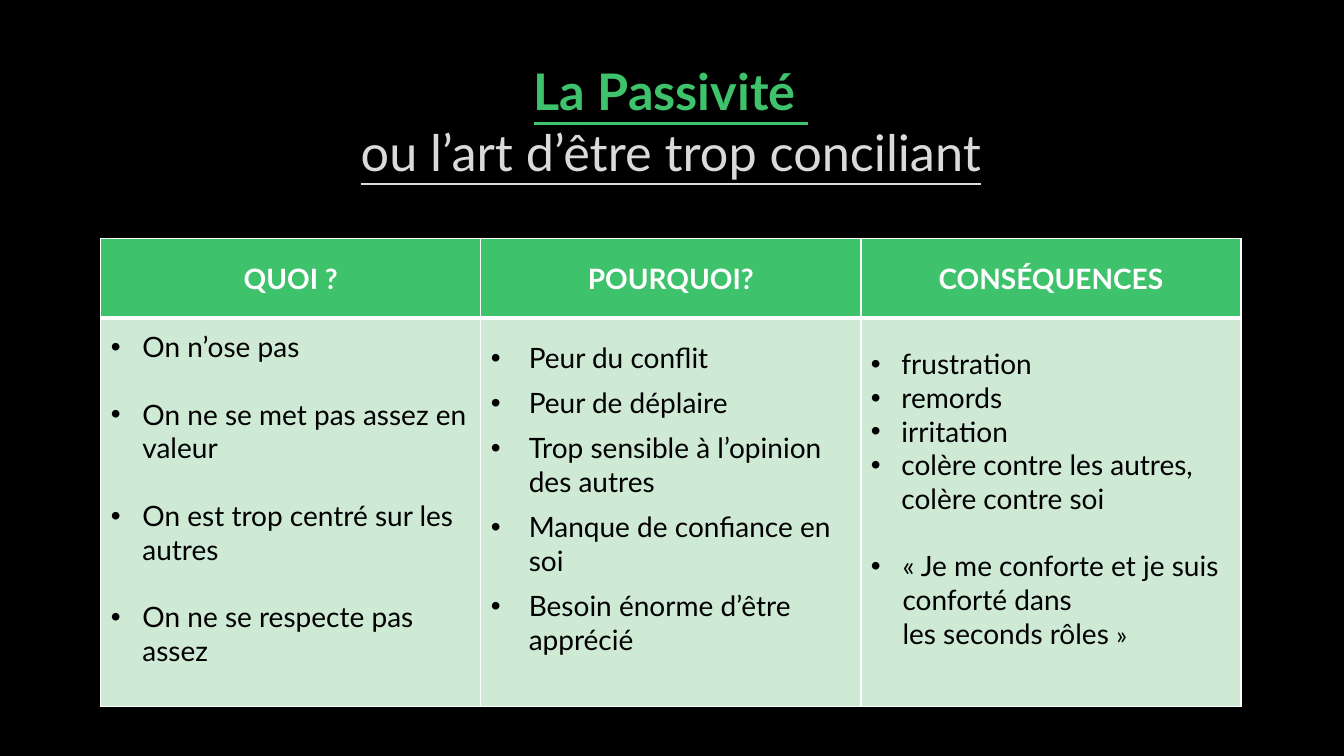
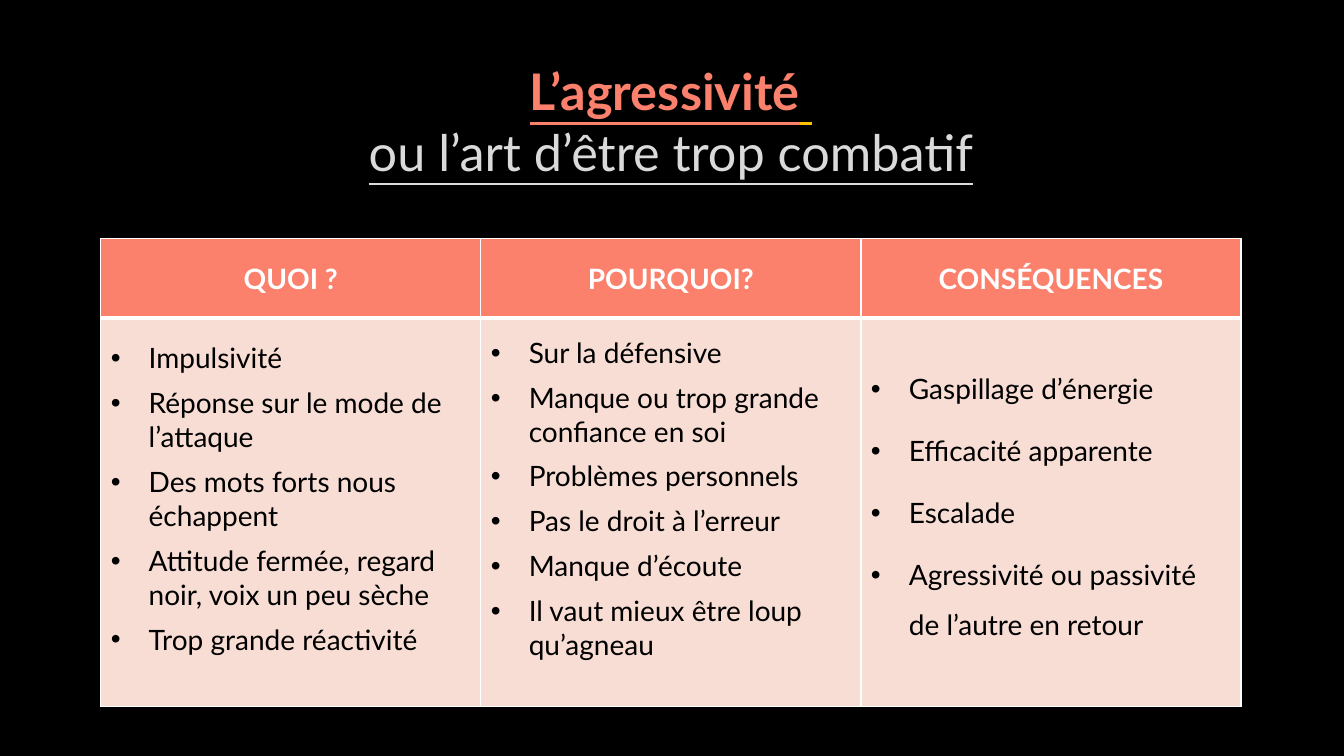
"""Build two slides that set passivity and aggressiveness out in matching tables."""
from dataclasses import dataclass

from lxml.etree import SubElement
from pptx import Presentation
from pptx.dml.color import RGBColor as Rgb
from pptx.enum.text import MSO_ANCHOR as Anchor, PP_ALIGN as Align
from pptx.oxml.ns import qn
from pptx.util import Pt

PX = 9525
FONT = "Lato"
COLORS = {
    "background": "000000",
    "white": "FFFFFF",
    "body": "000000",
    "subtitle": "DADADA",
    "green": "3EC26C",
    "pale green": "CEE9D4",
    "coral": "FB816D",
    "pale coral": "F8DDD4",
    "amber": "FFC000",
}
HEADINGS = ["QUOI ?", "POURQUOI?", "CONSÉQUENCES"]
LEFT, WIDTH = 96, 1086
TITLE_TOP, TITLE_HEIGHT = 64, 102
TABLE_TOP, ROW_HEIGHTS = 227, (76, 370)
BODY_MARGIN_BOTTOM = 31


@dataclass
class Span:
    text: str
    color: str = "body"
    size: int = 20
    bold: bool = False
    underline: bool = False


@dataclass
class Bullet:
    spans: list[Span]
    indent: int
    gap: int
    leading: float


@dataclass
class Topic:
    title: list[Span]
    accent: str
    columns: list[list[Bullet]]


def rgb(name: str) -> Rgb:
    return Rgb.from_string(COLORS[name])


def title_span(text: str, color: str, bold: bool = True) -> Span:
    return Span(text, color, 36, bold, True)


def bullets(*texts: str, indent: int = 36, gap: int = 8, leading: float = 1.0) -> list[Bullet]:
    return [Bullet([Span(text)], indent, gap, leading) for text in texts]


def add_span(para, span: Span) -> None:
    for index, line in enumerate(span.text.split("\n")):
        if index:
            para.add_line_break()
        if line:
            run = para.add_run()
            run.text = line
            run.font.name = FONT
            run.font.size = Pt(span.size)
            run.font.bold = span.bold
            run.font.underline = span.underline
            run.font.color.rgb = rgb(span.color)


def add_bullet(para, bullet: Bullet, first: bool) -> None:
    para.alignment = Align.LEFT
    para.line_spacing = bullet.leading
    para.space_before = Pt(0 if first else bullet.gap)
    props = para._p.get_or_add_pPr()
    props.set("marL", str(bullet.indent * PX))
    props.set("indent", str(-bullet.indent * PX))
    SubElement(props, qn("a:buFont")).set("typeface", "Arial")
    SubElement(props, qn("a:buChar")).set("char", "•")
    for span in bullet.spans:
        add_span(para, span)


def style_cell(cell, fill: str, bottom: int) -> None:
    props = cell._tc.get_or_add_tcPr()
    for side, points in (("L", 1), ("R", 1), ("T", 1), ("B", bottom)):
        line = SubElement(props, qn(f"a:ln{side}"), w=str(Pt(points)))
        paint = SubElement(line, qn("a:solidFill"))
        SubElement(paint, qn("a:srgbClr")).set("val", COLORS["white"])
    cell.fill.solid()
    cell.fill.fore_color.rgb = rgb(fill)
    cell.vertical_anchor = Anchor.MIDDLE


def add_title(page, spans: list[Span]) -> None:
    box = page.shapes.add_textbox(LEFT * PX, TITLE_TOP * PX, WIDTH * PX, TITLE_HEIGHT * PX)
    frame = box.text_frame
    frame.word_wrap = True
    frame.vertical_anchor = Anchor.MIDDLE
    para = frame.paragraphs[0]
    para.alignment = Align.CENTER
    for span in spans:
        add_span(para, span)


def add_topic_table(page, topic: Topic) -> None:
    table = page.shapes.add_table(
        len(ROW_HEIGHTS), len(HEADINGS), LEFT * PX, TABLE_TOP * PX, WIDTH * PX, sum(ROW_HEIGHTS) * PX
    ).table
    table.horz_banding = False
    for row, height in zip(table.rows, ROW_HEIGHTS):
        row.height = height * PX
    for index, (heading, column) in enumerate(zip(HEADINGS, topic.columns)):
        head, body = table.cell(0, index), table.cell(1, index)
        style_cell(head, topic.accent, 3)
        para = head.text_frame.paragraphs[0]
        para.alignment = Align.CENTER
        add_span(para, Span(heading, "white", bold=True))
        style_cell(body, f"pale {topic.accent}", 1)
        body.margin_bottom = BODY_MARGIN_BOTTOM * PX
        frame = body.text_frame
        for position, bullet in enumerate(column):
            para = frame.add_paragraph() if position else frame.paragraphs[0]
            add_bullet(para, bullet, position == 0)


TOPICS = [
    Topic(
        [
            title_span("La Passivité \n", "green"),
            title_span("ou l’art d’être trop conciliant", "subtitle", False),
        ],
        "green",
        [
            bullets(
                "On n’ose pas",
                "On ne se met pas assez en valeur",
                "On est trop centré sur les autres",
                "On ne se respecte pas assez",
                indent=30,
                gap=24,
            ),
            bullets(
                "Peur du conflit",
                "Peur de déplaire",
                "Trop sensible à l’opinion des autres",
                "Manque de confiance en soi",
                "Besoin énorme d’être apprécié",
            ),
            [
                *bullets(
                    "frustration",
                    "remords",
                    "irritation",
                    "colère contre les autres, colère contre soi",
                    indent=29,
                    gap=0,
                ),
                Bullet(
                    [
                        Span("« Je me conforte et je suis conforté dans \nles seconds rôles "),
                        Span("»", size=18),
                    ],
                    30,
                    24,
                    1.0,
                ),
            ],
        ],
    ),
    Topic(
        [
            title_span("L’agressivité", "coral"),
            title_span(" \n", "amber"),
            title_span("ou l’art d’être trop combatif", "subtitle", False),
        ],
        "coral",
        [
            bullets(
                "Impulsivité",
                "Réponse sur le mode de l’attaque",
                "Des mots forts nous échappent",
                "Attitude fermée, regard noir, voix un peu sèche",
                "Trop grande réactivité",
            ),
            bullets(
                "Sur la défensive",
                "Manque ou trop grande confiance en soi",
                "Problèmes personnels",
                "Pas le droit à l’erreur",
                "Manque d’écoute",
                "Il vaut mieux être loup qu’agneau",
            ),
            bullets(
                "Gaspillage d’énergie",
                "Efficacité apparente",
                "Escalade",
                "Agressivité ou passivité de l’autre en retour",
                leading=1.5,
            ),
        ],
    ),
]


def main() -> None:
    deck = Presentation()
    deck.slide_width, deck.slide_height = 1280 * PX, 720 * PX
    backdrop = deck.slide_master.background.fill
    backdrop.solid()
    backdrop.fore_color.rgb = rgb("background")
    for topic in TOPICS:
        page = deck.slides.add_slide(deck.slide_layouts[6])
        add_topic_table(page, topic)
        add_title(page, topic.title)
    deck.save("out.pptx")


if __name__ == "__main__":
    main()
